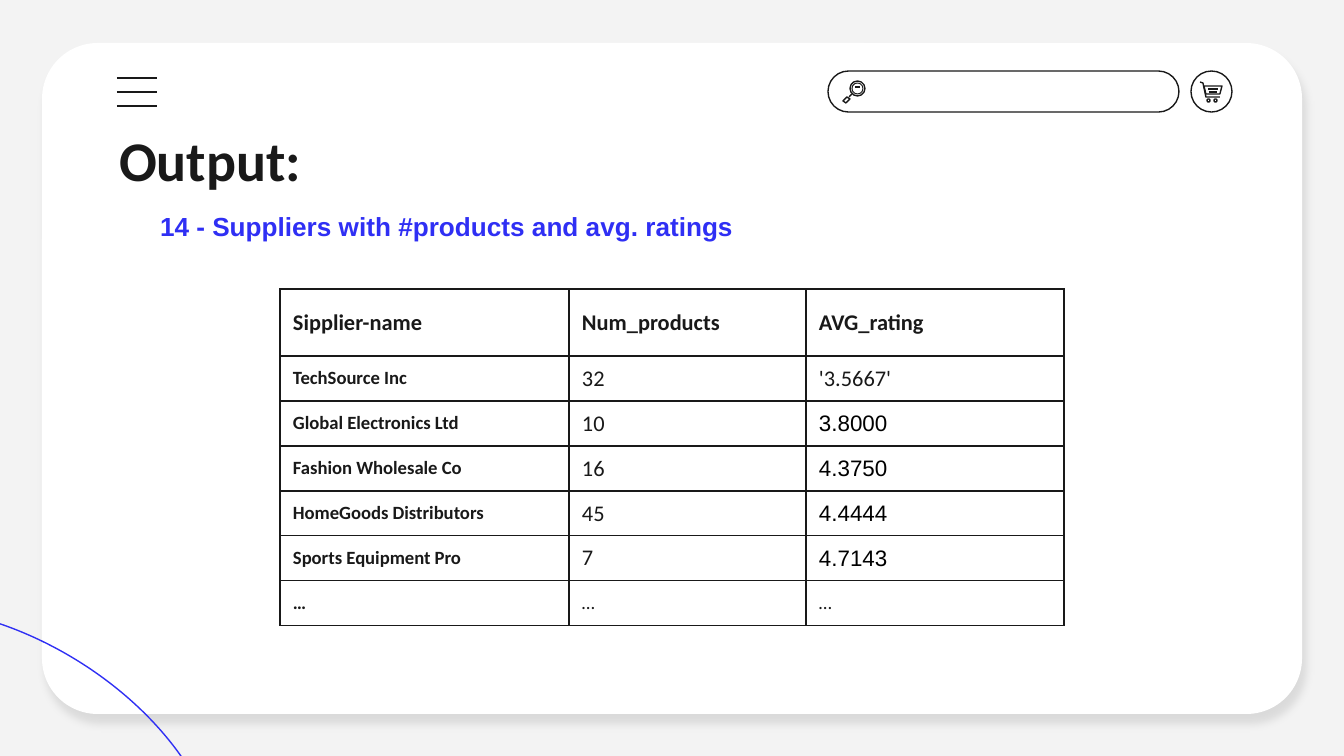
from lxml.etree import SubElement
from pptx import Presentation
from pptx.dml.color import RGBColor
from pptx.enum.shapes import MSO_CONNECTOR, MSO_SHAPE
from pptx.enum.text import MSO_ANCHOR, MSO_AUTO_SIZE, PP_ALIGN
from pptx.oxml import parse_xml
from pptx.oxml.ns import nsdecls, qn
from pptx.util import Pt

PX = 9144000 / 1344
COLORS = {"page": "F3F3F3", "card": "FFFFFF", "ink": "191919",
          "accent": "2F2FF4", "black": "000000"}


def px(*lengths):
    return [round(length * PX) for length in lengths]


def write(frame, text, size=12, font="Calibri", color="ink", bold=False):
    paragraph = frame.paragraphs[0]
    paragraph.alignment = PP_ALIGN.LEFT
    run = paragraph.add_run()
    run.text = text
    run.font.size = Pt(size)
    run.font.name = font
    run.font.bold = bold
    run.font.color.rgb = RGBColor.from_string(COLORS[color])


prs = Presentation()
prs.slide_width, prs.slide_height = px(1344, 756)
slide = prs.slides.add_slide(prs.slide_layouts[5])
slide.background.fill.solid()
slide.background.fill.fore_color.rgb = RGBColor.from_string(COLORS["page"])
shapes = slide.shapes

# Card with a soft shadow
card = shapes.add_shape(MSO_SHAPE.ROUNDED_RECTANGLE, *px(42, 43, 1260, 671))
card.adjustments[0] = 0.083
card.fill.solid()
card.fill.fore_color.rgb = RGBColor.from_string(COLORS["card"])
card.line.fill.background()
card._element.spPr.append(parse_xml(
    f'<a:effectLst {nsdecls("a")}><a:outerShdw blurRad="57150" dist="76200" '
    'dir="4080000" algn="bl" rotWithShape="0"><a:srgbClr val="000000">'
    '<a:alpha val="10000"/></a:srgbClr></a:outerShdw></a:effectLst>'))

# Outlined shapes: corner curve, search bar, cart button, lens rings, wheels
OVAL, BAR = MSO_SHAPE.OVAL, MSO_SHAPE.ROUNDED_RECTANGLE
outlines = [
    (OVAL, (-254, 636, 495, 310), "accent", 0.75, 31.1),
    (BAR, (828, 71, 351, 41), "ink", 0.75, 0),
    (OVAL, (1191, 71, 41, 41), "ink", 0.75, 0),
    (OVAL, (850, 81, 15, 15), "ink", 0.75, 0),
    (OVAL, (852, 83, 11, 11), "ink", 0.5, 0),
    (OVAL, (1207, 99, 3, 3), "ink", 0.75, 0),
    (OVAL, (1214, 99, 3, 3), "ink", 0.75, 0),
]
for preset, box, color, weight, rotation in outlines:
    outline = shapes.add_shape(preset, *px(*box))
    if preset == BAR:
        outline.adjustments[0] = 0.5
    outline.rotation = rotation
    outline.shadow.inherit = False
    outline.fill.background()
    outline.line.color.rgb = RGBColor.from_string(COLORS[color])
    outline.line.width = Pt(weight)

# Menu bars, magnifier neck and glint, cart stripes
strokes = [(117, y, 157, y) for y in (78, 92, 106)]
strokes += [(849, 97, 852, 94), (855, 87, 860, 87),
            (1208, 89, 1218, 89), (1209, 92, 1217, 92)]
for ends in strokes:
    stroke = shapes.add_connector(MSO_CONNECTOR.STRAIGHT, *px(*ends))
    stroke.line.color.rgb = RGBColor.from_string(COLORS["ink"])
    stroke.line.width = Pt(0.75)
    SubElement(stroke._element.spPr, qn("a:effectLst"))

# Magnifier handle, cart basket, cart frame
icon_paths = [
    ([(847, 97), (850, 99), (846, 103), (843, 101)], True),
    ([(1204, 86), (1222, 86), (1220, 94), (1206, 94)], True),
    ([(1200, 82), (1203, 83), (1206, 97), (1220, 97)], False),
]
for points, closed in icon_paths:
    builder = shapes.build_freeform(*points[0], scale=PX)
    builder.add_line_segments(points[1:], close=closed)
    icon = builder.convert_to_shape()
    icon.shadow.inherit = False
    icon.fill.background()
    icon.line.color.rgb = RGBColor.from_string(COLORS["ink"])
    icon.line.width = Pt(0.75)

# Title, brought in front of the card, and subtitle
title = shapes.title
title.element.getparent().append(title.element)
title.left, title.top, title.width, title.height = px(106, 112, 1133, 85)
subtitle = shapes.add_textbox(*px(147, 188, 669, 67))
for box, anchor in ((title, MSO_ANCHOR.TOP), (subtitle, MSO_ANCHOR.BOTTOM)):
    frame = box.text_frame
    frame.word_wrap = True
    frame.auto_size = MSO_AUTO_SIZE.NONE
    frame.vertical_anchor = anchor
    (frame.margin_left, frame.margin_top,
     frame.margin_right, frame.margin_bottom) = px(13, 13, 13, 13)
write(title.text_frame, "Output:", size=30, bold=True)
write(subtitle.text_frame, "14 - Suppliers with #products and avg. ratings",
      size=14, font="Arial", color="accent", bold=True)

# Supplier table
suppliers = [
    ("Sipplier-name", "Num_products", "AVG_rating"),
    ("TechSource Inc", "32", "'3.5667'"),
    ("Global Electronics Ltd", "10", "3.8000"),
    ("Fashion Wholesale Co", "16", "4.3750"),
    ("HomeGoods Distributors", "45", "4.4444"),
    ("Sports Equipment Pro", "7", "4.7143"),
    ("…", "…", "…"),
]
table = shapes.add_table(len(suppliers), 3, *px(280, 289, 784, 337)).table
table.first_row = table.horz_banding = False
for column, width in zip(table.columns, px(289, 237, 258)):
    column.width = width
for r, supplier in enumerate(suppliers):
    table.rows[r].height = px(45 if r else 67)[0]
    for c, text in enumerate(supplier):
        cell = table.cell(r, c)
        cell.vertical_anchor = MSO_ANCHOR.MIDDLE
        cell.margin_left, cell.margin_right = px(13, 13)
        cell.margin_top = cell.margin_bottom = 0
        plain_rating = c == 2 and text[0].isdigit()
        write(cell.text_frame, text,
              size=10 if r and (c == 0 or text == "…") else 12,
              font="Arial" if plain_rating else "Calibri",
              color="black" if plain_rating else "ink",
              bold=r == 0 or c == 0)
        for side in ("lnL", "lnR", "lnT", "lnB"):
            border = SubElement(cell._tc.get_or_add_tcPr(), qn(f"a:{side}"), w=str(Pt(0.75)))
            paint = SubElement(border, qn("a:solidFill"))
            SubElement(paint, qn("a:srgbClr"), val=COLORS["ink"])
        cell.fill.background()

prs.save("out.pptx")
